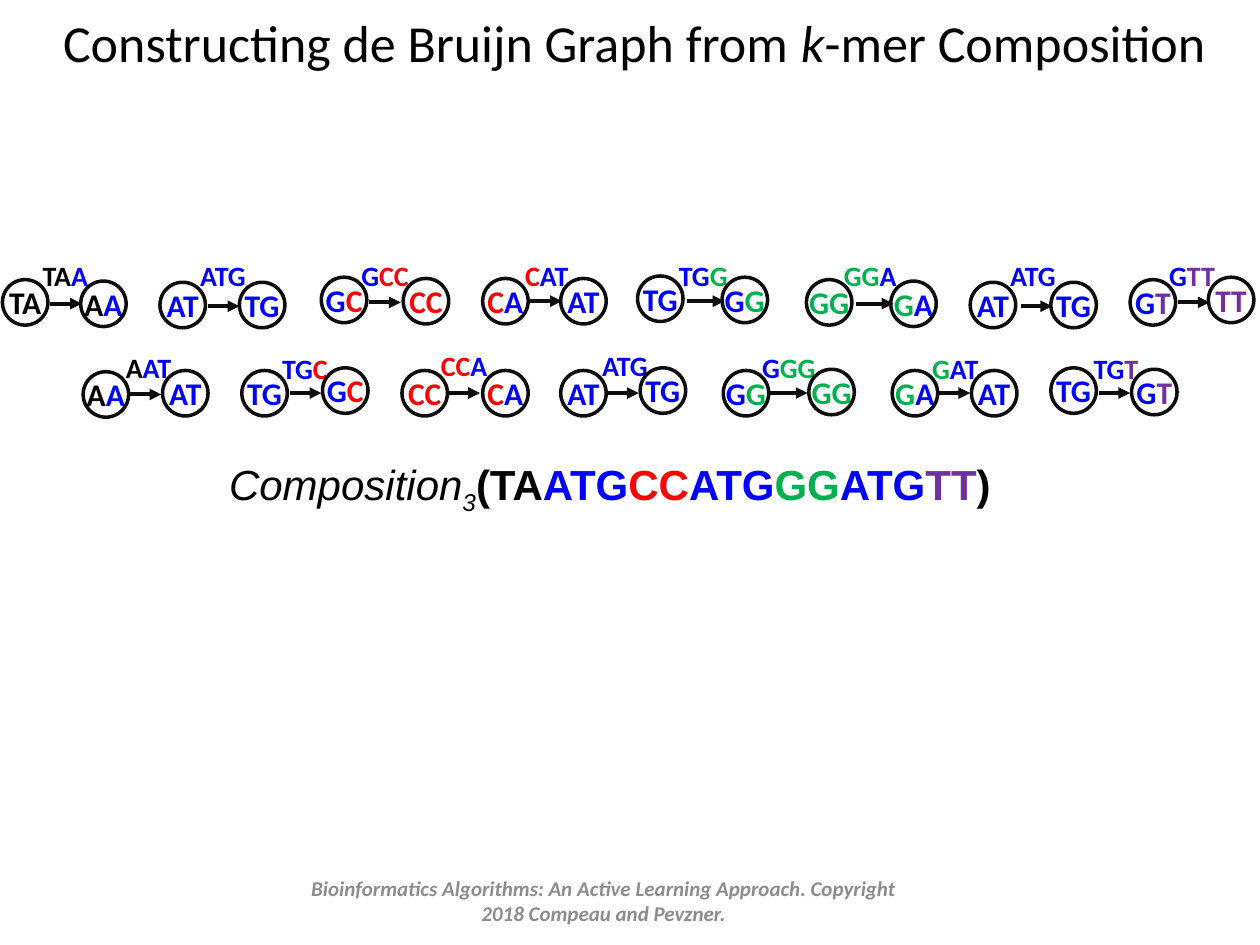
from typing import NamedTuple

from lxml import etree
from pptx import Presentation
from pptx.dml.color import RGBColor
from pptx.enum.shapes import MSO_CONNECTOR, MSO_SHAPE
from pptx.enum.text import MSO_ANCHOR, MSO_AUTO_SIZE, PP_ALIGN
from pptx.oxml.ns import qn
from pptx.util import Pt

CENTER = PP_ALIGN.CENTER
LEFT = PP_ALIGN.LEFT
MIDDLE = MSO_ANCHOR.MIDDLE
TOP = MSO_ANCHOR.TOP
STRAIGHT = MSO_CONNECTOR.STRAIGHT
OVAL = MSO_SHAPE.OVAL

BLACK = RGBColor(0x00, 0x00, 0x00)
INK = RGBColor(0x0D, 0x0D, 0x0D)
BLUE = RGBColor(0x00, 0x00, 0xFF)
RED = RGBColor(0xFF, 0x00, 0x00)
GREEN = RGBColor(0x00, 0xB0, 0x50)
PURPLE = RGBColor(0x70, 0x30, 0xA0)
GRAY = RGBColor(0x8C, 0x8C, 0x8C)

K = 3
NODE_SIZE = 26
NODE_TEXT_WIDTH = 42
LABEL_WIDTH = 50
SHORT, LONG = 18, 21.6  # arrow lengths


class Span(NamedTuple):
    text: str
    color: RGBColor = BLACK
    bold: bool = False
    italic: bool = False
    baseline: int = 0


class Point(NamedTuple):
    x: float
    y: float


class Edge(NamedTuple):
    """Top left corners of both nodes and the label, and the arrow's start."""
    prefix: Point
    suffix: Point
    arrow: Point
    label: Point
    length: float = SHORT


GENOME = [
    Span("TA", BLACK, True),
    Span("ATG", BLUE, True),
    Span("CC", RED, True),
    Span("ATG", BLUE, True),
    Span("GG", GREEN, True),
    Span("ATG", BLUE, True),
    Span("TT", PURPLE, True),
]

# One edge per k-mer, in genome order; they alternate between the two rows.
EDGES = [
    Edge(Point(1.4, 159.8), Point(46.1, 160.6), Point(28.8, 173.5), Point(17.3, 144)),
    Edge(Point(47.5, 212.4), Point(92.9, 211.7), Point(74.2, 225.4), Point(64.8, 196.6)),
    Edge(Point(91.4, 161.3), Point(136.8, 161.3), Point(118.8, 175), Point(107.3, 144)),
    Edge(Point(138.2, 211.7), Point(184.3, 210.2), Point(165.6, 224.6), Point(154.1, 197.3)),
    Edge(Point(183.6, 158.4), Point(230.4, 159.1), Point(211, 172.8), Point(199.4, 144)),
    Edge(Point(229.7, 211.7), Point(275.8, 211.7), Point(256.3, 224.6), Point(244.8, 195.8)),
    Edge(Point(275.8, 159.1), Point(320.4, 159.1), Point(303.1, 172.1), Point(293, 144)),
    Edge(Point(320.4, 211.7), Point(365.8, 210.2), Point(347, 224.6), Point(337, 195.8)),
    Edge(Point(364.3, 157.7), Point(412.6, 158.4), Point(392.4, 172.1), Point(380.9, 144), LONG),
    Edge(Point(413.3, 211.7), Point(462.2, 211), Point(439.9, 224.6), Point(428.4, 196.6), LONG),
    Edge(Point(460.8, 159.8), Point(509, 160.6), Point(488.9, 173.5), Point(475.2, 144), LONG),
    Edge(Point(509.8, 211.7), Point(555.1, 211.7), Point(536.4, 224.6), Point(525.6, 197.3)),
    Edge(Point(554.4, 161.3), Point(600.5, 161.3), Point(583.2, 175), Point(570.2, 144)),
    Edge(Point(600.5, 210.2), Point(646.6, 211), Point(627.8, 224.6), Point(617.8, 197.3)),
    Edge(Point(645.8, 159.8), Point(690.5, 158.4), Point(673.2, 172.8), Point(661, 144)),
]


def merge_letters(letters: list[Span]) -> list[Span]:
    """Join neighbouring letters of one colour into one span."""
    spans: list[Span] = []
    for letter in letters:
        if spans and spans[-1].color == letter.color:
            spans[-1] = letter._replace(text=spans[-1].text + letter.text)
        else:
            spans.append(letter)
    return spans


def write_spans(frame, spans: list[Span], size: float, font: str, align) -> None:
    para = frame.paragraphs[0]
    para.alignment = align
    for span in spans:
        run = para.add_run()
        run.text = span.text
        run.font.name = font
        run.font.size = Pt(size)
        run.font.bold = span.bold
        run.font.italic = span.italic
        run.font.color.rgb = span.color
        if span.baseline:
            run._r.get_or_add_rPr().set("baseline", str(span.baseline))


def add_text(slide, corner: Point, width: float, height: float, spans: list[Span],
             size: float, font: str = "Calibri", align=LEFT, anchor=TOP,
             wrap: bool = False) -> None:
    box = slide.shapes.add_textbox(Pt(corner.x), Pt(corner.y), Pt(width), Pt(height))
    frame = box.text_frame
    frame.word_wrap = wrap
    frame.vertical_anchor = anchor
    write_spans(frame, spans, size, font, align)


def add_node(slide, corner: Point, letters: list[Span]) -> None:
    overhang = (NODE_TEXT_WIDTH - NODE_SIZE) / 2
    add_text(slide, Point(corner.x - overhang, corner.y - 1.5), NODE_TEXT_WIDTH, 29,
             merge_letters(letters), 18, align=CENTER)
    circle = slide.shapes.add_shape(OVAL, Pt(corner.x), Pt(corner.y),
                                    Pt(NODE_SIZE), Pt(NODE_SIZE))
    circle.shadow.inherit = False
    circle.fill.background()
    circle.line.color.rgb = INK
    circle.line.width = Pt(2)


def add_arrow(slide, start: Point, length: float) -> None:
    arrow = slide.shapes.add_connector(STRAIGHT, Pt(start.x), Pt(start.y),
                                       Pt(start.x + length), Pt(start.y))
    arrow.line.color.rgb = INK
    arrow.line.width = Pt(2.25)
    etree.SubElement(arrow.line._get_or_add_ln(), qn("a:tailEnd"), type="triangle")
    etree.SubElement(arrow._element.spPr, qn("a:effectLst"))


def add_edge(slide, edge: Edge, kmer: list[Span]) -> None:
    add_text(slide, edge.label, LABEL_WIDTH, 26.6, merge_letters(kmer), 16)
    add_arrow(slide, edge.arrow, edge.length)
    add_node(slide, edge.prefix, kmer[:-1])
    add_node(slide, edge.suffix, kmer[1:])


def add_title(slide) -> None:
    title = slide.shapes.title
    title.left, title.top = Pt(17.3), Pt(-5.8)
    title.width, title.height = Pt(690.5), Pt(59.8)
    frame = title.text_frame
    frame.auto_size = MSO_AUTO_SIZE.NONE
    frame.vertical_anchor = MIDDLE
    spans = [Span("Constructing de Bruijn Graph from "), Span("k", italic=True),
             Span("-mer Composition")]
    write_spans(frame, spans, 29.7, "Calibri", CENTER)


def main() -> None:
    deck = Presentation()
    deck.slide_width, deck.slide_height = Pt(720), Pt(540)
    slide = deck.slides.add_slide(deck.slide_layouts.get_by_name("Title Only"))
    add_title(slide)

    letters = [span._replace(text=letter) for span in GENOME for letter in span.text]
    for start, edge in enumerate(EDGES):
        add_edge(slide, edge, letters[start:start + K])

    composition = [Span("Composition", italic=True),
                   Span(str(K), italic=True, baseline=-25000),
                   Span("(", bold=True), *GENOME, Span(")", bold=True)]
    add_text(slide, Point(123.8, 258.5), 480, 36, composition, 24, "Arial", wrap=True)

    copyright_line = Span("Bioinformatics Algorithms: An Active Learning Approach. "
                          "Copyright 2018 Compeau and Pevzner.", GRAY, True, True)
    add_text(slide, Point(162, 500.4), 365.8, 28.8, [copyright_line], 12,
             align=CENTER, anchor=MIDDLE, wrap=True)
    deck.save("out.pptx")


if __name__ == "__main__":
    main()
